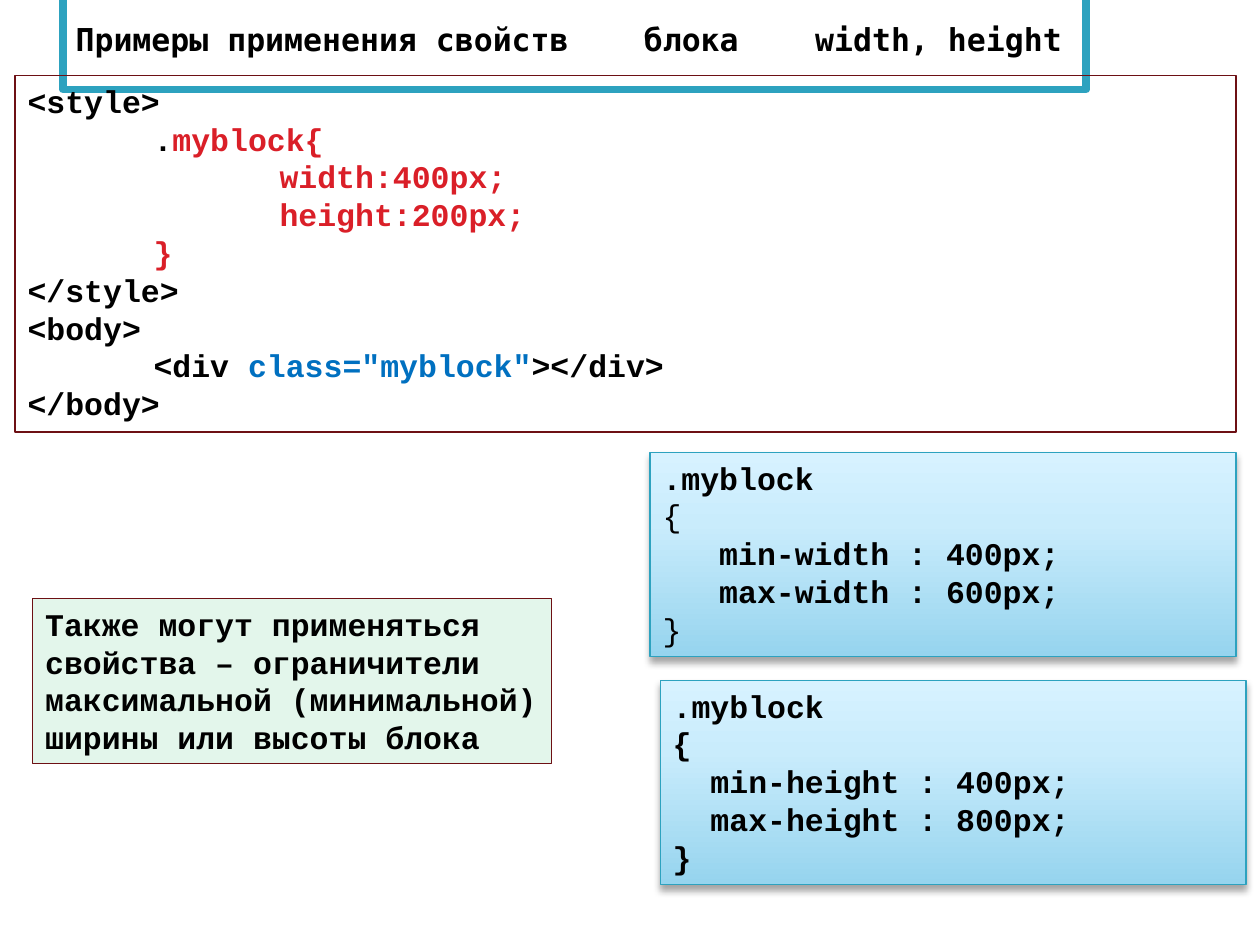
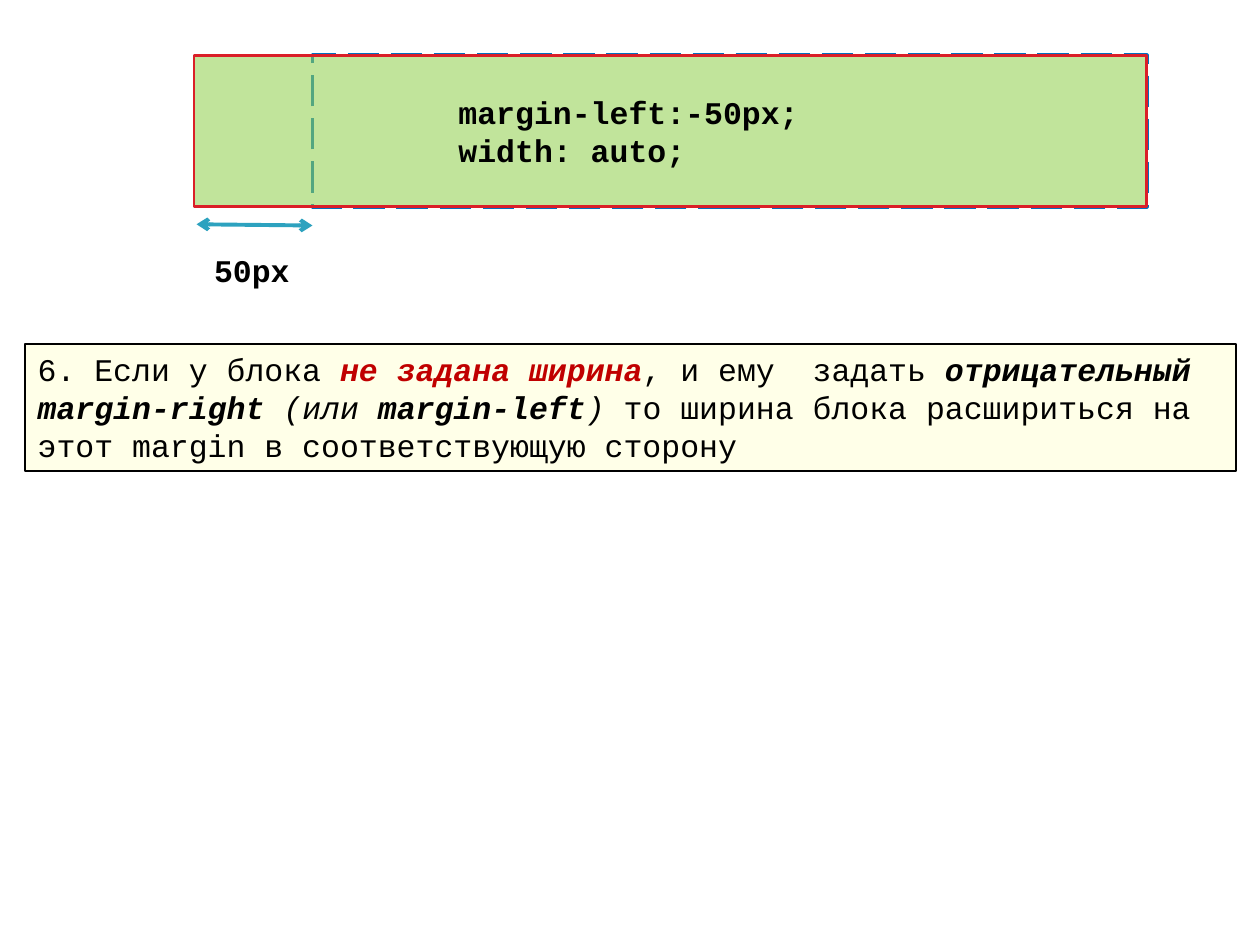
import pptx
import pptx.dml.color
import pptx.enum.dml
import pptx.enum.shapes
import pptx.enum.text
import pptx.oxml
import pptx.oxml.ns
import pptx.util
from lxml import etree

Inches = pptx.util.Inches
Pt = pptx.util.Pt
RGBColor = pptx.dml.color.RGBColor
qn = pptx.oxml.ns.qn
MSO_ANCHOR = pptx.enum.text.MSO_ANCHOR
PP_ALIGN = pptx.enum.text.PP_ALIGN

BLACK = RGBColor(0x00, 0x00, 0x00)
WHITE = RGBColor(0xFF, 0xFF, 0xFF)
TEAL = RGBColor(0x2D, 0xA2, 0xBF)
MAROON = RGBColor(0x6D, 0x10, 0x14)
RED = RGBColor(0xDA, 0x1F, 0x28)
DARK_RED = RGBColor(0xC0, 0x00, 0x00)
BLUE = RGBColor(0x00, 0x70, 0xC0)
GREEN = RGBColor(0x00, 0xB0, 0x50)
LIME = RGBColor(0x92, 0xD0, 0x50)
YELLOW = RGBColor(0xFF, 0xFF, 0x00)
SKY_STOPS = [(0, RGBColor(0x96, 0xD4, 0xEE)),
             (65, RGBColor(0xC9, 0xEC, 0xFC)),
             (100, RGBColor(0xD7, 0xF2, 0xFF))]
CODE_FONT = "Courier New"
TITLE_FONT = "DejaVu Sans Mono"
TEXT_SIZE = 18


def style_run(r, color=BLACK, bold=True, italic=False, name=CODE_FONT):
    r.font.name = name
    r.font.size = Pt(TEXT_SIZE)
    r.font.color.rgb = color
    r.font.bold = bold
    r.font.italic = italic


def write(sp, lines, wrap=True, anchor=MSO_ANCHOR.TOP):
    tf = sp.text_frame
    tf.word_wrap = wrap
    tf.vertical_anchor = anchor
    for i, (indent, runs) in enumerate(lines):
        p = tf.paragraphs[0] if i == 0 else tf.add_paragraph()
        p.alignment = PP_ALIGN.LEFT
        if indent:
            p._p.get_or_add_pPr().set("marL", str(Inches(indent)))
        for text, style in runs:
            r = p.add_run()
            r.text = text
            style_run(r, **style)


def set_alpha(sp, percent):
    clr = sp._element.spPr.find(qn("a:solidFill"))[0]
    etree.SubElement(clr, qn("a:alpha"), val=str(percent * 1000))


def add_box(slide, box, line, width, fill=None, alpha=None):
    sp = slide.shapes.add_shape(pptx.enum.shapes.MSO_SHAPE.RECTANGLE,
                                *[Inches(v) for v in box])
    sp.shadow.inherit = False
    sp.line.color.rgb = line
    sp.line.width = Pt(width)
    if fill is None:
        sp.fill.background()
    else:
        sp.fill.solid()
        sp.fill.fore_color.rgb = fill
    if alpha is not None:
        set_alpha(sp, alpha)
    return sp


def add_title(slide, box, parts, tabs):
    sp = slide.shapes.title
    sp.left, sp.top, sp.width, sp.height = [Inches(v) for v in box]
    sp.fill.solid()
    sp.fill.fore_color.rgb = WHITE
    sp.line.color.rgb = TEAL
    sp.line.width = Pt(4.33)
    write(sp, [(0, [("\t".join(parts), {"name": TITLE_FONT})])],
          anchor=MSO_ANCHOR.MIDDLE)
    sp.text_frame.auto_size = pptx.enum.text.MSO_AUTO_SIZE.NONE
    pPr = sp.text_frame.paragraphs[0]._p.get_or_add_pPr()
    tab_list = etree.SubElement(pPr, qn("a:tabLst"))
    for pos in tabs:
        etree.SubElement(tab_list, qn("a:tab"), pos=str(Inches(pos)), algn="l")


def add_sky_box(slide, box, lines):
    sp = add_box(slide, box, TEAL, 0.75, WHITE)
    spPr = sp._element.spPr
    grad = etree.Element(qn("a:gradFill"), rotWithShape="1")
    stops = etree.SubElement(grad, qn("a:gsLst"))
    for pos, color in SKY_STOPS:
        gs = etree.SubElement(stops, qn("a:gs"), pos=str(pos * 1000))
        etree.SubElement(gs, qn("a:srgbClr"), val=str(color))
    etree.SubElement(grad, qn("a:lin"), ang="16200000", scaled="0")
    spPr.replace(spPr.find(qn("a:solidFill")), grad)
    shadow = etree.SubElement(spPr.find(qn("a:effectLst")), qn("a:outerShdw"),
                              blurRad=str(Pt(4)), dist=str(Pt(3)),
                              dir="5400000", rotWithShape="0")
    clr = etree.SubElement(shadow, qn("a:srgbClr"), val=str(BLACK))
    etree.SubElement(clr, qn("a:alpha"), val="35000")
    write(sp, lines)


def add_limits_rule(slide, box, prop, indent, brace_bold):
    brace = {"bold": brace_bold}
    add_sky_box(slide, box, [
        (0, [(".myblock", {})]),
        (0, [("{", brace)]),
        (indent, [(f"min-{prop[0]} : {prop[1]};", {})]),
        (indent, [(f"max-{prop[0]} : {prop[2]};", {})]),
        (0, [("}", brace)]),
    ])


def add_code(slide, box):
    red = {"color": RED}
    write(add_box(slide, box, MAROON, 0.75), [
        (0, [("<style>", {})]),
        (1, [(".", {}), ("myblock{", red)]),
        (2, [("width:400px;", red)]),
        (2, [("height:200px;", red)]),
        (1, [("}", red)]),
        (0, [("</style>", {})]),
        (0, [("<body>", {})]),
        (1, [("<div ", {}), ('class="myblock"', {"color": BLUE}), ("></div>", {})]),
        (0, [("</body>", {})]),
    ])


def add_limits_note(slide, box):
    sp = add_box(slide, box, MAROON, 0.75, GREEN, 11)
    lines = ["Также могут применяться", "свойства – ограничители",
             "максимальной (минимальной)", "ширины или высоты блока"]
    write(sp, [(0, [(line, {})]) for line in lines], wrap=False)


def add_margin_diagram(slide, box, shift):
    left, top, width, height = box
    add_box(slide, (left + shift, top, width - shift, height), BLUE, 2.25
            ).line.dash_style = pptx.enum.dml.MSO_LINE.LONG_DASH
    block = add_box(slide, box, RED, 1.5, LIME, 57)
    write(block, [(2, [("margin-left:-50px;", {})]),
                  (2, [("width: auto;", {})])], anchor=MSO_ANCHOR.MIDDLE)
    y = top + height + 0.14
    arrow = slide.shapes.add_connector(
        pptx.enum.shapes.MSO_CONNECTOR.STRAIGHT, Inches(left + 0.02), Inches(y),
        Inches(left + shift), Inches(y + 0.01))
    arrow.line.color.rgb = TEAL
    arrow.line.width = Pt(2.25)
    ln = arrow.line._get_or_add_ln()
    for end in ("a:headEnd", "a:tailEnd"):
        etree.SubElement(ln, qn(end), type="arrow")
    etree.SubElement(arrow._element.spPr, qn("a:effectLst"))
    label = slide.shapes.add_textbox(Inches(left + 0.06), Inches(y + 0.16),
                                     Inches(0.81), Inches(0.4))
    write(label, [(0, [("50px", {})])], wrap=False)


def add_margin_note(slide, box):
    plain = {"bold": False}
    strong = {"italic": True}
    slanted = {"bold": False, "italic": True}
    write(add_box(slide, box, BLACK, 1, YELLOW, 9), [(0, [
        ("6. Если у блока ", plain),
        ("не задана ширина", {"color": DARK_RED, "italic": True}),
        (", и ему  задать ", plain),
        ("отрицательный margin-right ", strong),
        ("(или ", slanted),
        ("margin-left", strong),
        (") ", slanted),
        ("то ширина блока расшириться на этот margin в соответствующую сторону", plain),
    ])])


def build_size_slide(prs):
    slide = prs.slides.add_slide(prs.slide_layouts[5])
    add_title(slide, (0.5, -0.09, 8.12, 0.8),
              ["Примеры применения свойств", "блока", "width, height"], (4.51, 5.87))
    add_limits_rule(slide, (5.16, 3.59, 4.65, 1.62),
                    ("width", "400px", "600px"), 0.45, False)
    add_limits_rule(slide, (5.24, 5.4, 4.65, 1.62),
                    ("height", "400px", "800px"), 0.3, True)
    add_code(slide, (0.12, 0.6, 9.69, 2.83))
    add_limits_note(slide, (0.26, 4.75, 4.12, 1.31))


def build_margin_slide(prs):
    slide = prs.slides.add_slide(prs.slide_layouts[6])
    add_margin_note(slide, (0.2, 2.73, 9.61, 1.01))
    add_margin_diagram(slide, (1.54, 0.44, 7.56, 1.2), 0.94)


def main():
    prs = pptx.Presentation()
    prs.slide_width = Inches(10)
    prs.slide_height = Inches(7.5)
    build_size_slide(prs)
    build_margin_slide(prs)
    prs.save("out.pptx")


if __name__ == "__main__":
    main()
